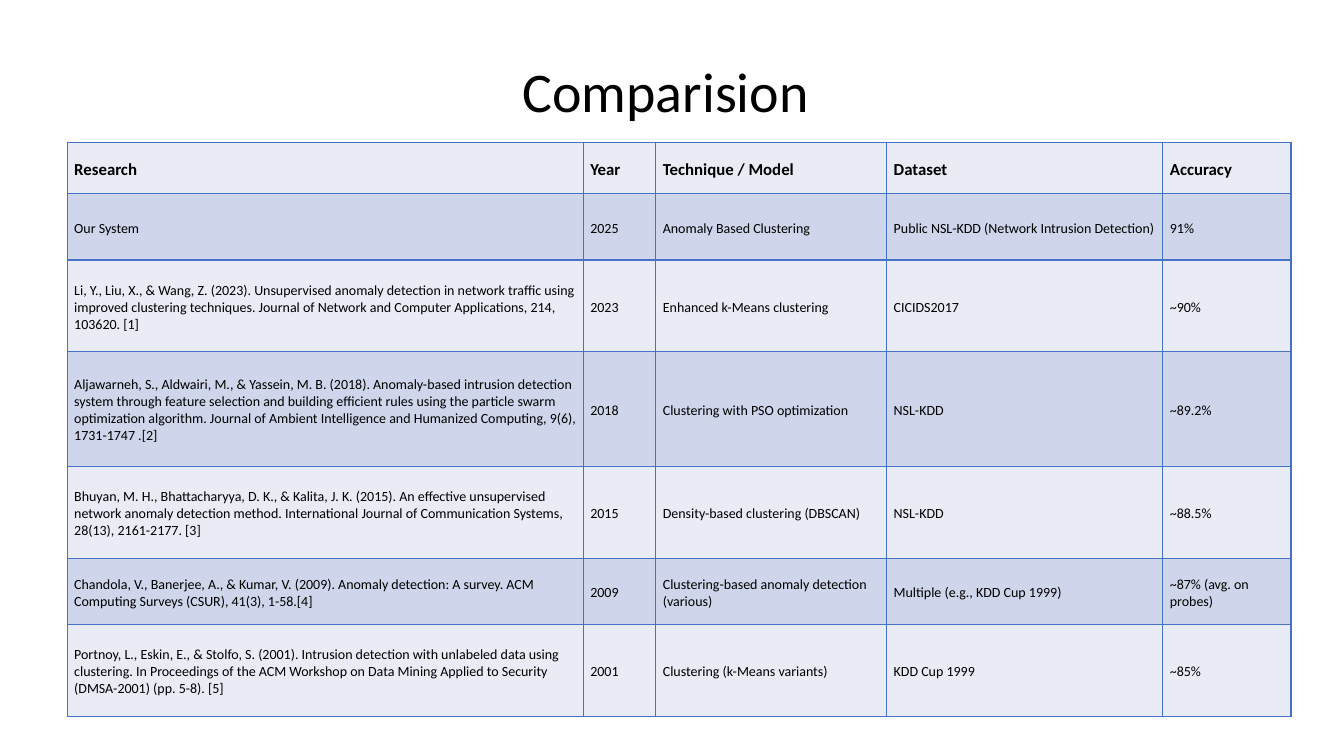
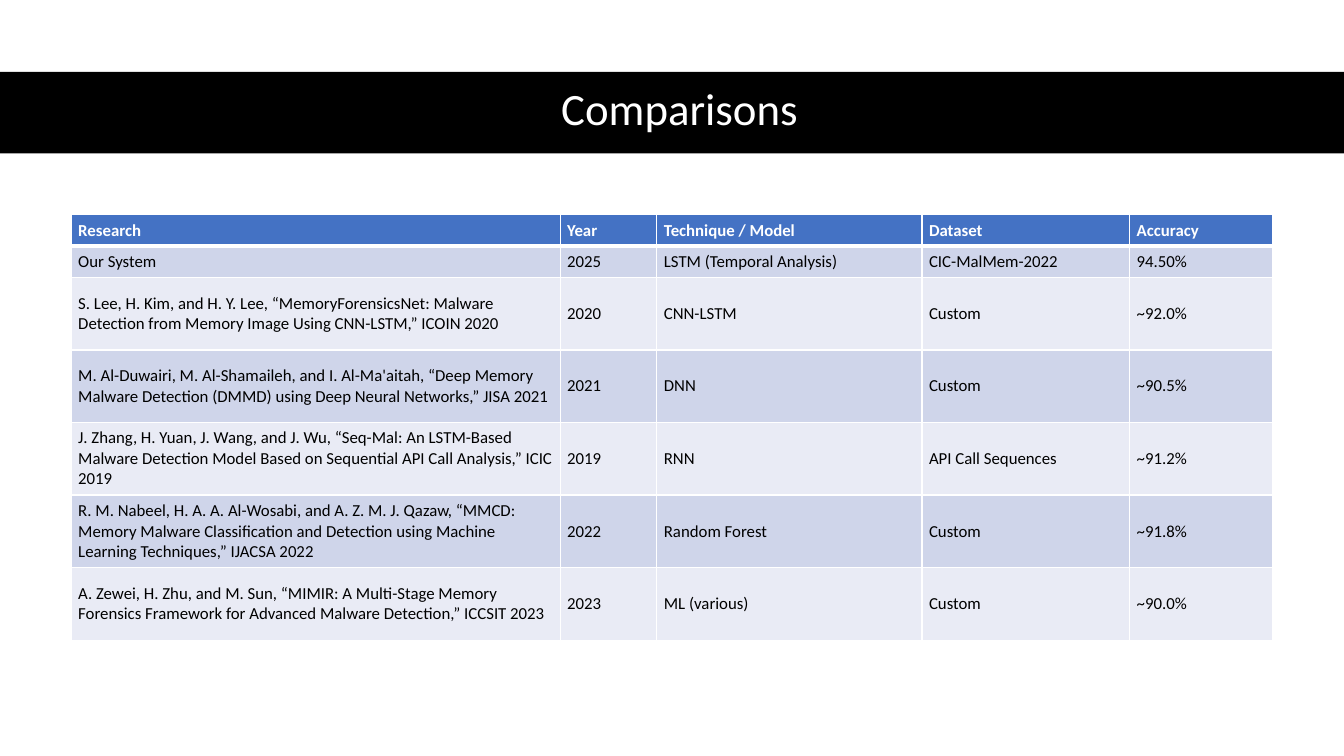
"""Build two slides that compare research results in tables."""
import lxml.etree
import pptx
import pptx.dml.color
import pptx.enum.shapes
import pptx.enum.text
import pptx.oxml.ns
import pptx.util

RGBColor = pptx.dml.color.RGBColor
BLACK = RGBColor(0x00, 0x00, 0x00)
WHITE = RGBColor(0xFF, 0xFF, 0xFF)
BLUE = RGBColor(0x44, 0x72, 0xC4)
PALE = RGBColor(0xE9, 0xEB, 0xF5)
TINT = RGBColor(0xCF, 0xD5, 0xEA)
FONT = "Calibri"
HEADINGS = ["Research", "Year", "Technique / Model", "Dataset", "Accuracy"]

prs = pptx.Presentation()
prs.slide_width = pptx.util.Inches(13.33)
prs.slide_height = pptx.util.Inches(7.5)


def share(left, top, width, height):
    """Turn percentages of the slide into lengths."""
    w, h = prs.slide_width, prs.slide_height
    return [int(n * side / 100) for n, side in
            zip((left, top, width, height), (w, h, w, h))]


def add_text(p, text, size, color, bold=False):
    """Add one formatted run to a paragraph."""
    r = p.add_run()
    r.text = text
    r.font.name = FONT
    r.font.size = pptx.util.Pt(size)
    r.font.bold = bold
    r.font.color.rgb = color


SLIDES = [
    {
        "title": "Comparision ", "title_box": (9.38, 4, 81.25, 16.93),
        "title_size": 40, "title_color": BLACK,
        "band_box": (0, 0, 100, 24.8), "band_color": WHITE,
        "origin": (5, 18.8),
        "cols": [38.4, 5.4, 17.18, 20.55, 9.53],
        "rows": [6.8, 8.8, 12.13, 15.2, 12.13, 8.8, 12.13],
        "margins": (0.07, 0.04), "line": BLUE, "head_rule": 1,
        "head_fill": PALE, "head_color": BLACK, "body_size": 10,
        "data": [
            ["Our System", "2025", "Anomaly Based Clustering",
             "Public NSL-KDD (Network Intrusion Detection)", "91%"],
            ["Li, Y., Liu, X., & Wang, Z. (2023). Unsupervised anomaly detection in network "
             "traffic using improved clustering techniques. Journal of Network and Computer "
             "Applications, 214, 103620. [1]",
             "2023", "Enhanced k-Means clustering", "CICIDS2017", "~90%"],
            ["Aljawarneh, S., Aldwairi, M., & Yassein, M. B. (2018). Anomaly-based intrusion "
             "detection system through feature selection and building efficient rules using "
             "the particle swarm optimization algorithm. Journal of Ambient Intelligence and "
             "Humanized Computing, 9(6), 1731-1747 .[2]",
             "2018", "Clustering with PSO optimization", "NSL-KDD", "~89.2%"],
            ["Bhuyan, M. H., Bhattacharyya, D. K., & Kalita, J. K. (2015). An effective "
             "unsupervised network anomaly detection method. International Journal of "
             "Communication Systems, 28(13), 2161-2177. [3]",
             "2015", "Density-based clustering (DBSCAN)", "NSL-KDD", "~88.5%"],
            ["Chandola, V., Banerjee, A., & Kumar, V. (2009). Anomaly detection: A survey. "
             "ACM Computing Surveys (CSUR), 41(3), 1-58.[4]",
             "2009", "Clustering-based anomaly detection (various)",
             "Multiple (e.g., KDD Cup 1999)", "~87% (avg. on probes)"],
            ["Portnoy, L., Eskin, E., & Stolfo, S. (2001). Intrusion detection with unlabeled "
             "data using clustering. In Proceedings of the ACM Workshop on Data Mining "
             "Applied to Security (DMSA-2001) (pp. 5-8). [5]",
             "2001", "Clustering (k-Means variants)", "KDD Cup 1999", "~85%"],
        ],
    },
    {
        "title": "Comparisons", "title_box": (4.58, 9.33, 91.97, 10.8),
        "title_size": 32, "title_color": WHITE,
        "band_box": (0, 9.5, 100, 10.8), "band_color": BLACK,
        "origin": (5.3, 28.4),
        "cols": [36.38, 7.2, 19.73, 15.45, 10.65],
        "rows": [4.15, 4.15] + [9.6] * 5,
        "margins": (0.03, 0.03), "line": WHITE, "head_rule": 3,
        "head_fill": BLUE, "head_color": WHITE, "body_size": 12,
        "data": [
            ["Our System", "2025", "LSTM (Temporal Analysis)", "CIC-MalMem-2022", "94.50%"],
            ["S. Lee, H. Kim, and H. Y. Lee, “MemoryForensicsNet: Malware Detection from "
             "Memory Image Using CNN-LSTM,” ICOIN 2020",
             "2020", "CNN-LSTM", "Custom", "~92.0%"],
            ["M. Al-Duwairi, M. Al-Shamaileh, and I. Al-Ma'aitah, “Deep Memory Malware "
             "Detection (DMMD) using Deep Neural Networks,” JISA 2021",
             "2021", "DNN", "Custom", "~90.5%"],
            ["J. Zhang, H. Yuan, J. Wang, and J. Wu, “Seq-Mal: An LSTM-Based Malware Detection "
             "Model Based on Sequential API Call Analysis,” ICIC 2019",
             "2019", "RNN", "API Call Sequences", "~91.2%"],
            ["R. M. Nabeel, H. A. A. Al-Wosabi, and A. Z. M. J. Qazaw, “MMCD: Memory Malware "
             "Classification and Detection using Machine Learning Techniques,” IJACSA 2022",
             "2022", "Random Forest", "Custom", "~91.8%"],
            ["A. Zewei, H. Zhu, and M. Sun, “MIMIR: A Multi-Stage Memory Forensics Framework "
             "for Advanced Malware Detection,” ICCSIT 2023",
             "2023", "ML (various)", "Custom", "~90.0%"],
        ],
    },
]

for page in SLIDES:
    s = prs.slides.add_slide(prs.slide_layouts[5])

    band = s.shapes.add_shape(pptx.enum.shapes.MSO_SHAPE.RECTANGLE, *share(*page["band_box"]))
    band.shadow.inherit = False
    band.fill.solid()
    band.fill.fore_color.rgb = page["band_color"]
    band.line.fill.background()
    s.shapes.title._element.addprevious(band._element)

    title = s.shapes.title
    title.left, title.top, title.width, title.height = share(*page["title_box"])
    tf = title.text_frame
    tf.word_wrap = True
    tf.auto_size = pptx.enum.text.MSO_AUTO_SIZE.NONE
    tf.vertical_anchor = pptx.enum.text.MSO_ANCHOR.MIDDLE
    p = tf.paragraphs[0]
    p.alignment = pptx.enum.text.PP_ALIGN.CENTER
    p.line_spacing = 0.9
    add_text(p, page["title"], page["title_size"], page["title_color"])

    grid = [HEADINGS] + page["data"]
    box = share(*page["origin"], sum(page["cols"]), sum(page["rows"]))
    table = s.shapes.add_table(len(grid), len(HEADINGS), *box).table
    table.horz_banding = False
    for col, width in zip(table.columns, page["cols"]):
        col.width = int(prs.slide_width * width / 100)
    for row, height in zip(table.rows, page["rows"]):
        row.height = int(prs.slide_height * height / 100)

    for i, texts in enumerate(grid):
        head = i == 0
        for j, text in enumerate(texts):
            cell = table.cell(i, j)
            cell.vertical_anchor = pptx.enum.text.MSO_ANCHOR.MIDDLE
            cell.margin_left = cell.margin_right = pptx.util.Inches(0.07)
            cell.margin_top, cell.margin_bottom = map(pptx.util.Inches, page["margins"])
            tcPr = cell._tc.get_or_add_tcPr()
            for side in "LRTB":
                on_rule = (i, side) in ((0, "B"), (1, "T"))
                weight = pptx.util.Pt(page["head_rule"] if on_rule else 1)
                ln = lxml.etree.SubElement(tcPr, pptx.oxml.ns.qn("a:ln" + side), w=str(weight))
                fill = lxml.etree.SubElement(ln, pptx.oxml.ns.qn("a:solidFill"))
                lxml.etree.SubElement(fill, pptx.oxml.ns.qn("a:srgbClr"), val=str(page["line"]))
            cell.fill.solid()
            cell.fill.fore_color.rgb = page["head_fill"] if head else (PALE, TINT)[i % 2]
            add_text(cell.text_frame.paragraphs[0], text,
                     12 if head else page["body_size"],
                     page["head_color"] if head else BLACK, head)

prs.save("out.pptx")
